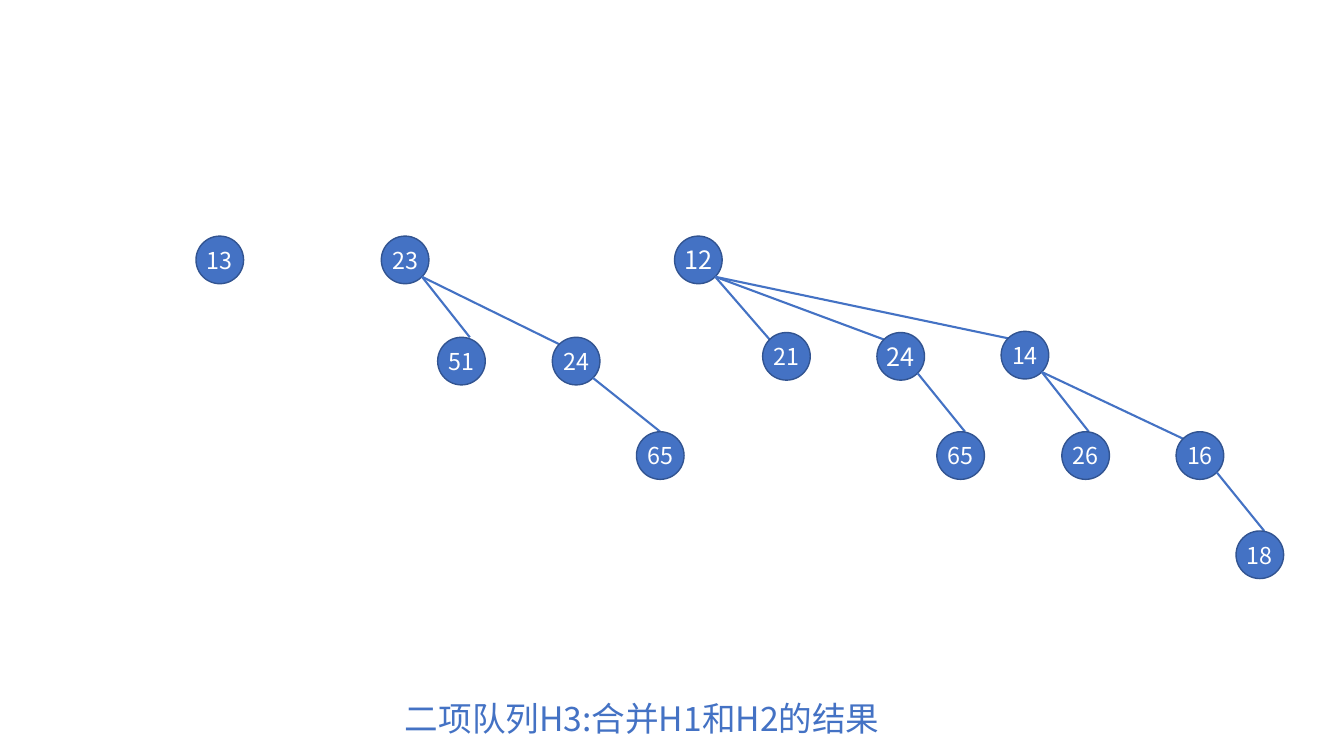
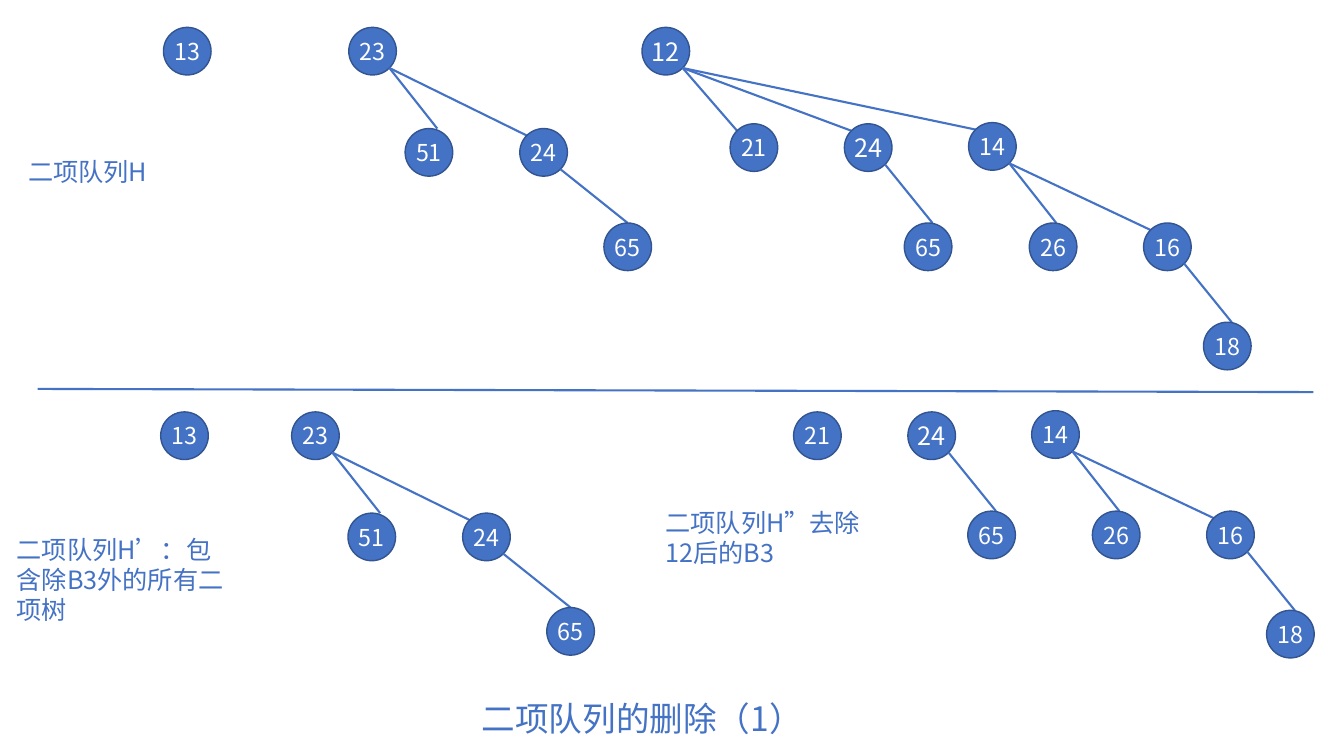
"""Build two slides on merging and deleting in binomial queues."""
from dataclasses import dataclass
from typing import Optional

from lxml import etree
from pptx import Presentation, util as u
from pptx.dml import color
from pptx.enum import lang, shapes, text
from pptx.oxml import ns


@dataclass(frozen=True)
class Theme:
    """Colours, type sizes and measures in centimetres."""
    font: str = "Noto Sans CJK SC"
    blue: str = "4472C4"
    outline: str = "325491"
    white: str = "FFFFFF"
    title_size: float = 24
    label_size: float = 18
    key_size: float = 16.6
    edge_width: float = 1.5
    outline_width: float = 1
    diameter: float = 1.2


@dataclass(frozen=True)
class Node:
    """A tree node, placed relative to its parent; landing is the edge end along its top."""
    key: int
    offset: tuple = (0, 0)
    children: tuple = ()
    landing: Optional[float] = None
    size: float = Theme.key_size


THEME = Theme()
NEAR = THEME.diameter * (1 - 0.5 ** 0.5) / 2
FAR = THEME.diameter - NEAR

TREE_13 = Node(13)
TREE_23 = Node(23, children=(
    Node(51, (1.42, 2.55), landing=0.81),
    Node(24, (4.31, 2.55), (Node(65, (2.12, 2.38), landing=0.6),)),
))
TREE_21 = Node(21, (2.22, 2.43))
TREE_24 = Node(24, (5.1, 2.43), (Node(65, (1.51, 2.5), landing=0.71),),
               size=THEME.label_size)
TREE_14 = Node(14, (8.23, 2.4), (
    Node(26, (1.53, 2.53), landing=0.68),
    Node(16, (4.41, 2.53), (Node(18, (1.51, 2.5), landing=0.71),)),
))
TREE_12 = Node(12, children=(TREE_21, TREE_24, TREE_14), size=THEME.label_size)
FULL_QUEUE = ((TREE_13, 0), (TREE_23, 4.67), (TREE_12, 12.06))


def rgb(value):
    """Turn a hex value into a colour."""
    return color.RGBColor.from_string(value)


def set_values(target, values):
    """Set each named attribute of an object."""
    for name, value in values.items():
        setattr(target, name, value)


def write(frame, content, size, colour, align):
    """Write one formatted span into a text frame."""
    para = frame.paragraphs[0]
    para.alignment = align
    span = para.add_run()
    span.text = content
    set_values(span.font, {
        "name": THEME.font,
        "size": u.Pt(size),
        "language_id": lang.MSO_LANGUAGE_ID.SIMPLIFIED_CHINESE,
    })
    span.font.color.rgb = rgb(colour)
    latin = span.font._element.find(ns.qn("a:latin"))
    east_asian = etree.Element(ns.qn("a:ea"), typeface=THEME.font)
    latin.addnext(east_asian)


def add_text(page, content, left, top, width, height,
             size=THEME.label_size, align=text.PP_ALIGN.LEFT):
    """Add a wrapping blue text box."""
    box = page.shapes.add_textbox(*map(u.Cm, (left, top, width, height)))
    set_values(box.text_frame, {
        "word_wrap": True,
        "auto_size": text.MSO_AUTO_SIZE.SHAPE_TO_FIT_TEXT,
    })
    write(box.text_frame, content, size, THEME.blue, align)


def add_title(page, content):
    """Add the centred title at the foot of a slide."""
    add_text(page, content, 4.12, 17.45, 24.13, 1.28,
             THEME.title_size, text.PP_ALIGN.CENTER)


def add_edge(page, start, end):
    """Add a straight blue line."""
    edge = page.shapes.add_connector(
        shapes.MSO_CONNECTOR.STRAIGHT, *map(u.Cm, (*start, *end)))
    edge.line.color.rgb = rgb(THEME.blue)
    edge.line.width = u.Pt(THEME.edge_width)
    etree.SubElement(edge._element.spPr, ns.qn("a:effectLst"))


def add_circle(page, node, left, top):
    """Add the circle that holds a key."""
    circle = page.shapes.add_shape(
        shapes.MSO_SHAPE.OVAL,
        *map(u.Cm, (left, top, THEME.diameter, THEME.diameter)))
    circle.shadow.inherit = False
    circle.fill.solid()
    circle.fill.fore_color.rgb = rgb(THEME.blue)
    circle.line.color.rgb = rgb(THEME.outline)
    circle.line.width = u.Pt(THEME.outline_width)
    set_values(circle.text_frame, {
        "margin_left": 0,
        "margin_right": 0,
        "vertical_anchor": text.MSO_ANCHOR.MIDDLE,
    })
    write(circle.text_frame, str(node.key), node.size, THEME.white,
          text.PP_ALIGN.CENTER)


def add_tree(page, node, left, top):
    """Draw a node, its edges and its subtrees."""
    add_circle(page, node, left, top)
    for child in node.children:
        x, y = left + child.offset[0], top + child.offset[1]
        end = (x + NEAR, y + NEAR) if child.landing is None else (x + child.landing, y)
        add_edge(page, (left + FAR, top + FAR), end)
        add_tree(page, child, x, y)


def add_queue(page, trees, left, top):
    """Draw a row of trees, each at its distance from the left."""
    for tree, distance in trees:
        add_tree(page, tree, left + distance, top)


def merge_slide(page):
    """Show the merged queue."""
    add_queue(page, FULL_QUEUE, 4.94, 5.95)
    add_title(page, "二项队列H3:合并H1和H2的结果")


def delete_slide(page):
    """Show a queue above the two queues left by removing its minimum."""
    add_queue(page, FULL_QUEUE, 4.12, 0.69)
    add_queue(page, ((TREE_13, 0), (TREE_23, 3.3)), 4.05, 10.38)
    add_queue(page, ((TREE_21, 0), (TREE_24, 2.88)), 20, 10.38)
    add_tree(page, TREE_14, 26, 10.35)
    add_edge(page, (0.95, 9.8), (33.1, 9.88))
    add_text(page, "二项队列H", 0.46, 3.82, 9.17, 1.03)
    add_text(page, "二项队列H’：包含除B3外的所有二项树", 0.17, 13.34, 5.74, 2.56)
    add_text(page, "二项队列H”去除12后的B3", 16.52, 12.65, 5.74, 1.8)
    add_title(page, "二项队列的删除（1）")


def main():
    """Build and save the deck."""
    deck = Presentation()
    set_values(deck, {"slide_width": u.Cm(33.87), "slide_height": u.Cm(19.05)})
    for build in (merge_slide, delete_slide):
        build(deck.slides.add_slide(deck.slide_layouts[6]))
    deck.save("out.pptx")


if __name__ == "__main__":
    main()
